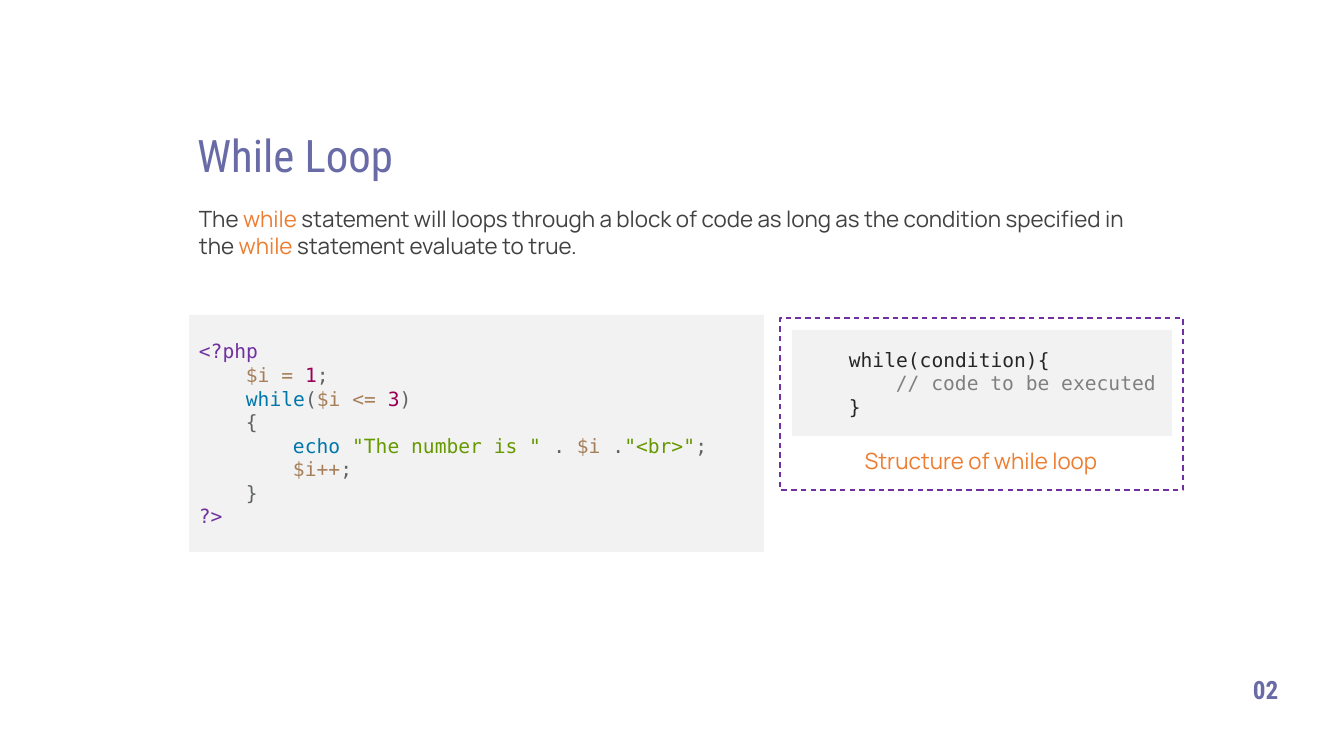
from pptx import Presentation
from pptx.dml.color import RGBColor
from pptx.enum.dml import MSO_LINE
from pptx.enum.shapes import MSO_SHAPE
from pptx.enum.text import MSO_ANCHOR, MSO_AUTO_SIZE, PP_ALIGN
from pptx.util import Pt

RECTANGLE = MSO_SHAPE.RECTANGLE
DASH = MSO_LINE.DASH
TOP, MIDDLE = MSO_ANCHOR.TOP, MSO_ANCHOR.MIDDLE
LEFT, CENTER = PP_ALIGN.LEFT, PP_ALIGN.CENTER
NO_AUTOFIT = MSO_AUTO_SIZE.NONE

PIXEL = 914400 / 100.8
SLIDE_SIZE = (1344, 756)
INDENT = 47  # one code level: four monospaced characters
TITLE_ONLY = 5

THEME = {
    "colors": {
        "heading": "686BA6", "body": "414141", "accent": "ED7D31",
        "panel": "F2F2F2", "frame": "7030A0", "tag": "7030A0",
        "variable": "A67F59", "number": "990055", "keyword": "0077AA",
        "string": "669900", "punctuation": "5F6364",
        "code": "262626", "comment": "808080",
    },
    "styles": {
        "title": ("Roboto Condensed", 32, False),
        "body": ("Manrope", 16, False),
        "code": ("DejaVu Sans Mono", 14, False),
        "page": ("Roboto Condensed", 18, True),
    },
}

# Every line is (indent level, [(text, colour name), ...]).
TITLE = [(0, [("While Loop", "heading")])]
DESCRIPTION = [(0, [
    ("The ", "body"), ("while", "accent"),
    (" statement will loops through a block of code as long as "
     "the condition specified in the ", "body"),
    ("while", "accent"), (" statement evaluate to true.", "body"),
])]
EXAMPLE = [
    (0, [("<?php", "tag")]),
    (1, [("$i = ", "variable"), ("1", "number"), (";", "punctuation")]),
    (1, [("while", "keyword"), ("(", "punctuation"), ("$i <= ", "variable"),
         ("3", "number"), (")", "punctuation")]),
    (1, [("{", "punctuation")]),
    (2, [("echo ", "keyword"), ('"The number is " ', "string"),
         (". ", "punctuation"), ("$i ", "variable"), (".", "punctuation"),
         ('"<br>"', "string"), (";", "punctuation")]),
    (2, [("$i++", "variable"), (";", "punctuation")]),
    (1, [("}", "punctuation")]),
    (0, [("?>", "tag")]),
]
STRUCTURE = [
    (1, [("while(condition){", "code")]),
    (2, [("// code to be executed", "comment")]),
    (1, [("}", "code")]),
]
CAPTION = [(0, [("Structure of while loop", "accent")])]
PAGE_NUMBER = [(0, [("02", "heading")])]

# Boxes are (left, top, width, height) in pixels.
TITLE_BOX = (187, 123, 459, 65)
DESCRIPTION_BOX = (189, 200, 957, 65)
EXAMPLE_BOX = (189, 315, 575, 237)
FRAME_BOX = (780, 318, 403, 172)
STRUCTURE_BOX = (792, 330, 380, 106)
CAPTION_BOX = (789, 442, 384, 37)
PAGE_BOX = (1243, 669, 48, 40)


def to_emu(*pixels):
    """Turn pixel lengths into EMU."""
    return [round(pixel * PIXEL) for pixel in pixels]


def color(name):
    """Look up a theme colour."""
    return RGBColor.from_string(THEME["colors"][name])


def write_text(shape, lines, style="body", align=LEFT, anchor=TOP):
    """Fill a shape with indented lines of coloured runs."""
    font_name, size, bold = THEME["styles"][style]
    frame = shape.text_frame
    frame.word_wrap = True
    frame.auto_size = NO_AUTOFIT
    frame.vertical_anchor = anchor
    for number, (level, runs) in enumerate(lines):
        paragraph = frame.add_paragraph() if number else frame.paragraphs[0]
        paragraph.alignment = align
        if level:
            margin, = to_emu(level * INDENT)
            paragraph._p.get_or_add_pPr().set("marL", str(margin))
        for text, color_name in runs:
            run = paragraph.add_run()
            run.text = text
            run.font.name = font_name
            run.font.size = Pt(size)
            run.font.bold = bold
            run.font.color.rgb = color(color_name)


def add_text(slide, box, lines, **text_format):
    """Add a text box."""
    write_text(slide.shapes.add_textbox(*to_emu(*box)), lines, **text_format)


def add_rectangle(slide, box):
    """Add a bare rectangle without shadow, fill or outline."""
    shape = slide.shapes.add_shape(RECTANGLE, *to_emu(*box))
    shape.shadow.inherit = False
    shape.fill.background()
    shape.line.fill.background()
    return shape


def add_code_panel(slide, box, lines):
    """Add a grey panel that holds code."""
    shape = add_rectangle(slide, box)
    shape.fill.solid()
    shape.fill.fore_color.rgb = color("panel")
    write_text(shape, lines, style="code", anchor=MIDDLE)


def add_frame(slide, box):
    """Add the dashed frame around the loop structure."""
    shape = add_rectangle(slide, box)
    shape.line.color.rgb = color("frame")
    shape.line.width = Pt(1)
    shape.line.dash_style = DASH


def build():
    """Build and save the slide."""
    presentation = Presentation()
    presentation.slide_width, presentation.slide_height = to_emu(*SLIDE_SIZE)
    slide = presentation.slides.add_slide(presentation.slide_layouts[TITLE_ONLY])
    title = slide.shapes.title
    title.left, title.top, title.width, title.height = to_emu(*TITLE_BOX)
    write_text(title, TITLE, style="title")
    add_text(slide, DESCRIPTION_BOX, DESCRIPTION)
    add_code_panel(slide, STRUCTURE_BOX, STRUCTURE)
    add_text(slide, CAPTION_BOX, CAPTION, align=CENTER)
    add_code_panel(slide, EXAMPLE_BOX, EXAMPLE)
    add_frame(slide, FRAME_BOX)
    add_text(slide, PAGE_BOX, PAGE_NUMBER, style="page")
    presentation.save("out.pptx")


build()
